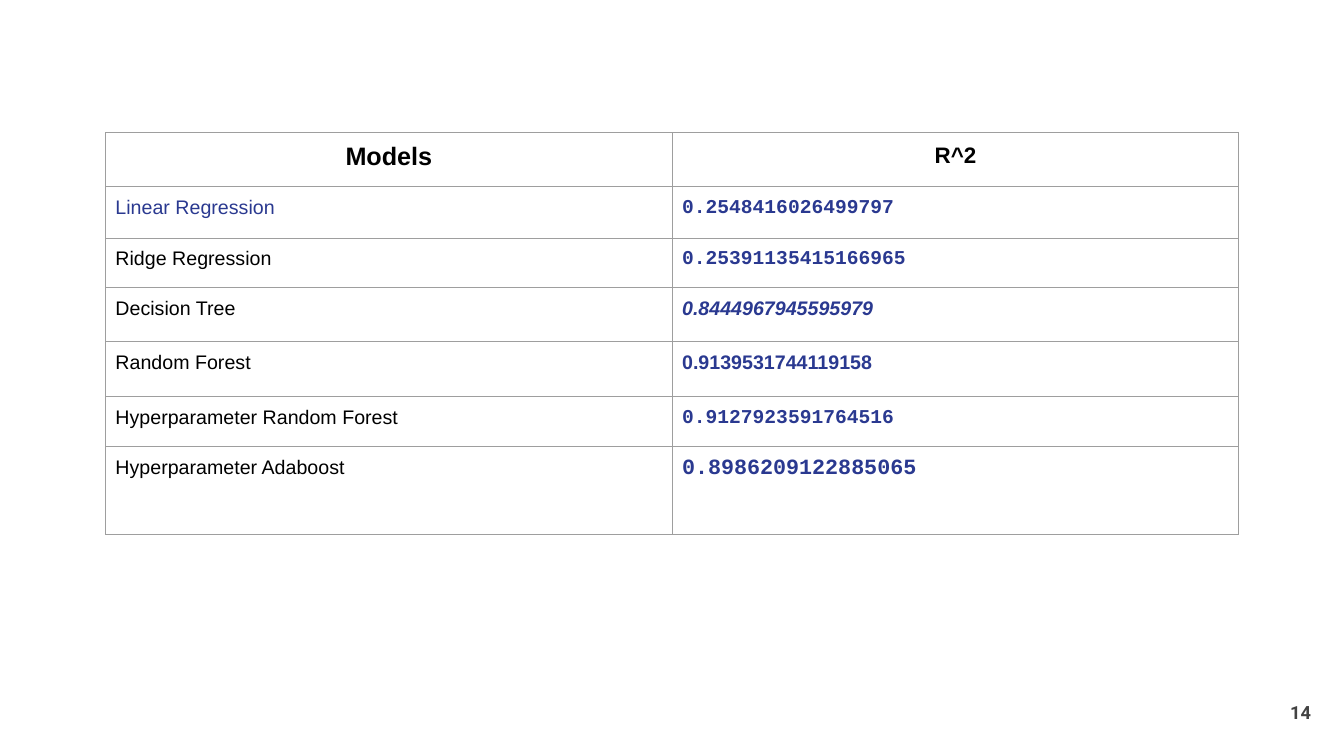
from dataclasses import dataclass

from lxml.etree import SubElement
from pptx import Presentation
from pptx.dml.color import RGBColor
from pptx.enum.text import MSO_ANCHOR as Anchor, PP_ALIGN as Align
from pptx.oxml.ns import qn
from pptx.util import Cm, Pt


@dataclass(frozen=True)
class Theme:
    black: str = "000000"
    blue: str = "2A3990"
    gray: str = "434343"
    border: str = "9E9E9E"
    sans: str = "Arial"
    mono: str = "Courier New"
    number_font: str = "Roboto"
    models_size: float = 18
    score_size: float = 16
    large_size: float = 15.5
    body_size: float = 14
    number_size: float = 13


THEME = Theme()

# Text formats
NAME = {"name": THEME.sans, "size": THEME.body_size, "color": THEME.black, "bold": False}
BLUE_NAME = NAME | {"color": THEME.blue}
SCORE = BLUE_NAME | {"bold": True}
MONO_SCORE = SCORE | {"name": THEME.mono}
ITALIC_SCORE = SCORE | {"italic": True}
LARGE_SCORE = MONO_SCORE | {"size": THEME.large_size}
MODELS_HEAD = NAME | {"size": THEME.models_size, "bold": True}
SCORE_HEAD = MODELS_HEAD | {"size": THEME.score_size}
PAGE_NUMBER = {"name": THEME.number_font, "size": THEME.number_size,
               "color": THEME.gray, "bold": True}

# Row height in cm, then text and format of each cell
ROWS = [
    (1.36, ("Models", MODELS_HEAD), ("R^2", SCORE_HEAD)),
    (1.29, ("Linear Regression", BLUE_NAME), ("0.2548416026499797", MONO_SCORE)),
    (1.25, ("Ridge Regression", NAME), ("0.25391135415166965", MONO_SCORE)),
    (1.36, ("Decision Tree", NAME), ("0.8444967945595979", ITALIC_SCORE)),
    (1.39, ("Random Forest", NAME), ("0.9139531744119158", SCORE)),
    (1.25, ("Hyperparameter Random Forest", NAME), ("0.9127923591764516", MONO_SCORE)),
    (2.22, ("Hyperparameter Adaboost", NAME), ("0.8986209122885065", LARGE_SCORE)),
]
COLUMN_WIDTH = Cm(14.28)
MARGINS = ("margin_left", "margin_top", "margin_right", "margin_bottom")


def set_margins(target, margin):
    for side in MARGINS:
        setattr(target, side, margin)


def write_text(text_frame, text, text_format, alignment):
    paragraph = text_frame.paragraphs[0]
    paragraph.alignment = alignment
    run = paragraph.add_run()
    run.text = text
    for key, value in text_format.items():
        if key == "color":
            run.font.color.rgb = RGBColor.from_string(value)
        else:
            setattr(run.font, key, Pt(value) if key == "size" else value)


def add_borders(cell):
    properties = cell._tc.get_or_add_tcPr()
    for position, side in enumerate(("lnL", "lnR", "lnT", "lnB")):
        line = SubElement(properties, qn(f"a:{side}"), w=str(Pt(0.75)))
        fill = SubElement(line, qn("a:solidFill"))
        SubElement(fill, qn("a:srgbClr"), val=THEME.border)
        properties.insert(position, line)


def add_score_table(slide):
    height = Cm(sum(row[0] for row in ROWS))
    frame = slide.shapes.add_table(len(ROWS), 2, Cm(2.66), Cm(3.35),
                                   2 * COLUMN_WIDTH, height)
    table = frame.table
    table.first_row = table.horz_banding = False
    for column in table.columns:
        column.width = COLUMN_WIDTH
    for row_index, (row_height, *entries) in enumerate(ROWS):
        table.rows[row_index].height = Cm(row_height)
        alignment = Align.LEFT if row_index else Align.CENTER
        for column_index, (text, text_format) in enumerate(entries):
            cell = table.cell(row_index, column_index)
            cell.fill.background()
            cell.vertical_anchor = Anchor.TOP
            set_margins(cell, Cm(0.25))
            add_borders(cell)
            write_text(cell.text_frame, text, text_format, alignment)


def add_page_number(slide, text):
    box = slide.shapes.add_textbox(Cm(31.34), Cm(17.22), Cm(2.03), Cm(1.45))
    text_frame = box.text_frame
    text_frame.word_wrap = True
    text_frame.vertical_anchor = Anchor.MIDDLE
    set_margins(text_frame, Cm(0.33))
    write_text(text_frame, text, PAGE_NUMBER, Align.RIGHT)


def main():
    presentation = Presentation()
    presentation.slide_width = Cm(33.87)
    presentation.slide_height = Cm(19.05)
    slide = presentation.slides.add_slide(presentation.slide_layouts[6])

    # Page number and model scores
    add_page_number(slide, "14")
    add_score_table(slide)

    presentation.save("out.pptx")


if __name__ == "__main__":
    main()
